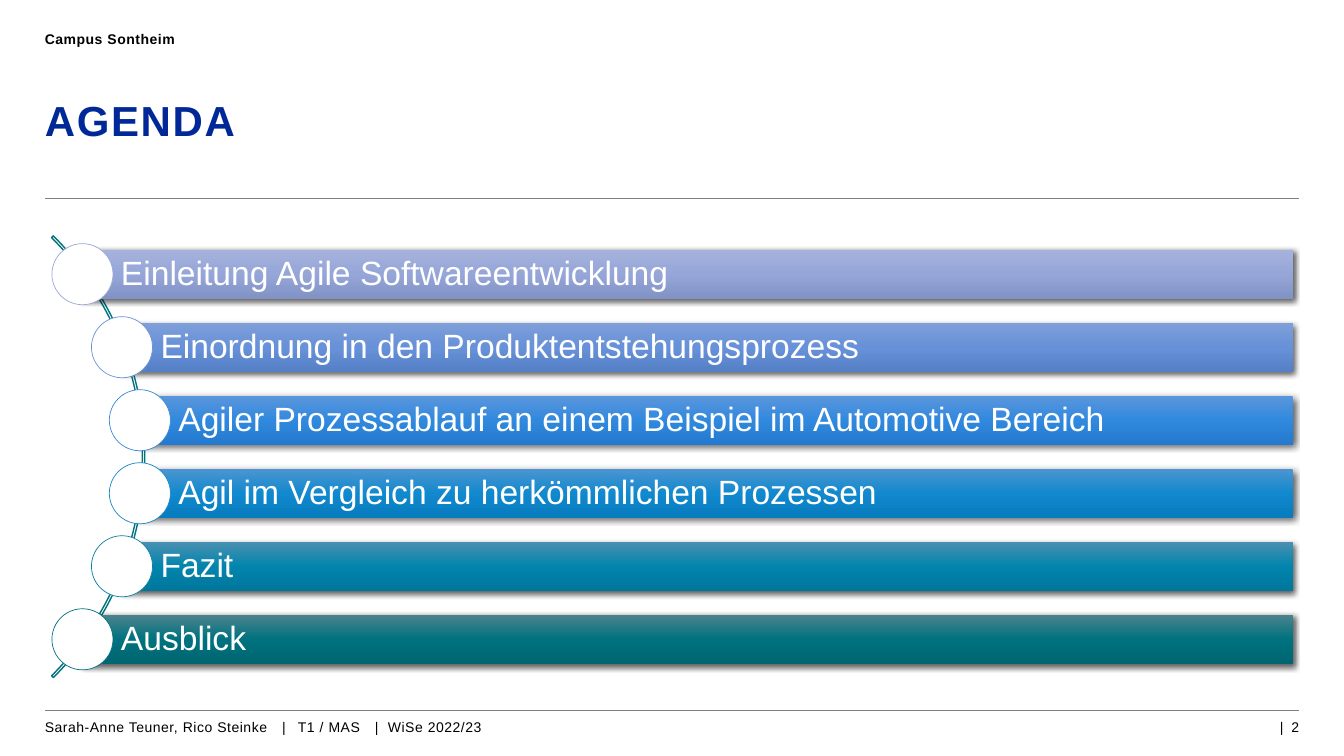
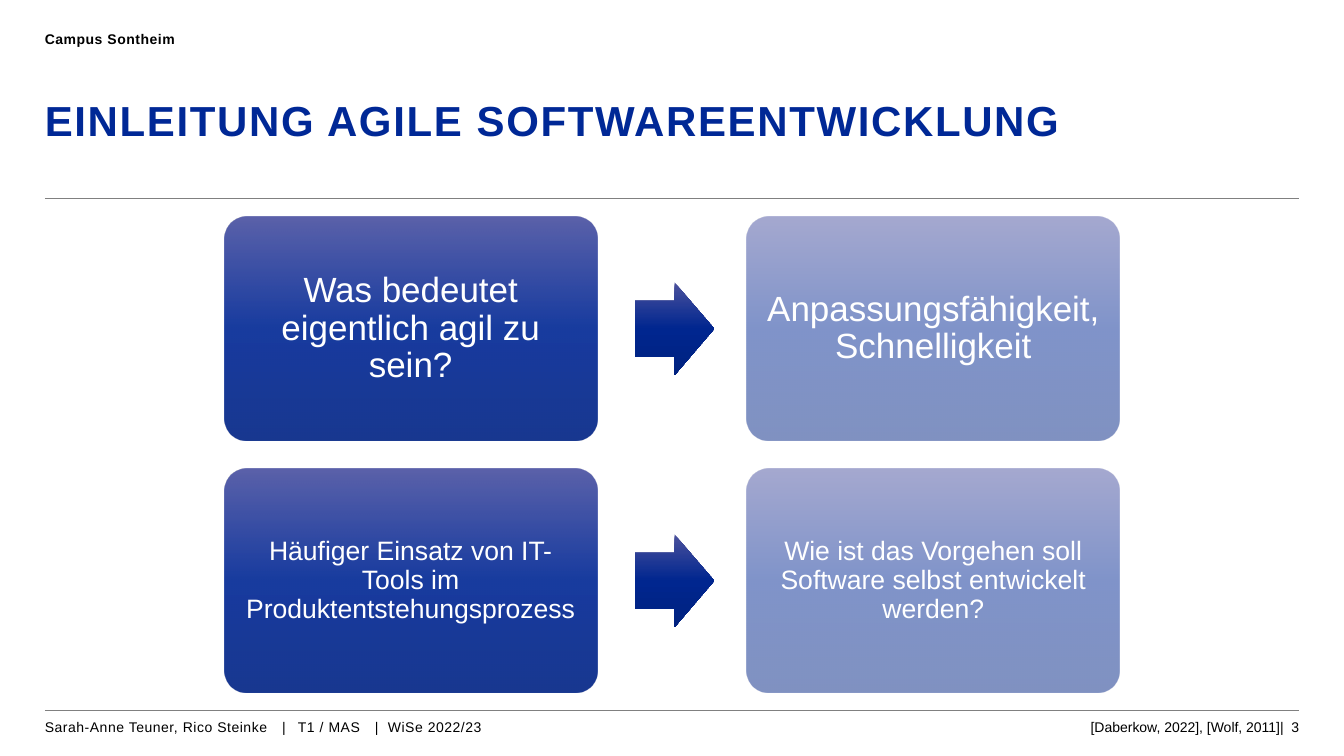
from dataclasses import dataclass
from math import sqrt

from lxml.etree import SubElement
from pptx import Presentation
from pptx.dml.color import RGBColor
from pptx.enum.shapes import MSO_CONNECTOR, MSO_SHAPE
from pptx.enum.text import MSO_ANCHOR, MSO_AUTO_SIZE, PP_ALIGN
from pptx.oxml.ns import qn
from pptx.util import Cm, Pt

# Content
HEADER = "Campus Sontheim"
FOOTER = "Sarah-Anne Teuner, Rico Steinke\u2003|\u2002 T1 / MAS\u2003|  WiSe 2022/23"

AGENDA_TITLE = "AGENDA"
AGENDA_PAGE = "|  2"
AGENDA = [  # topic, bar gradient, circle outline
    ("Einleitung Agile Softwareentwicklung", ("A5B2DB", "96A6D9", "8192C5"), "99A8D6"),
    ("Einordnung in den Produktentstehungsprozess", ("7F9FD9", "6791D8", "5580C6"), "6C93D3"),
    ("Agiler Prozessablauf an einem Beispiel im Automotive Bereich",
     ("5B96DC", "3189DE", "237ACE"), "3989D6"),
    ("Agil im Vergleich zu herkömmlichen Prozessen", ("4D95D0", "1189CE", "077CBF"), "1A87C5"),
    ("Fazit", ("4B90B1", "0285AD", "00779C"), "0A81A5"),
    ("Ausblick", ("4B838D", "00727F", "006571"), "00727F"),
]

INTRO_TITLE = "EINLEITUNG AGILE SOFTWAREENTWICKLUNG"
INTRO_PAGE = "[Daberkow, 2022], [Wolf, 2011]|  3"
INTRO_ROWS = [  # left box, right box, type size, inner margin in cm
    ("Was bedeutet eigentlich agil zu sein?",
     "Anpassungsfähigkeit, Schnelligkeit", 25, 0.25),
    ("Häufiger Einsatz von IT-Tools im Produktentstehungsprozess",
     "Wie ist das Vorgehen soll Software selbst entwickelt werden?", 19, 0.2),
]


@dataclass(frozen=True)
class Theme:
    font: str = "Arial"
    title: str = "002896"
    text: str = "000000"
    light: str = "FFFFFF"
    rule: str = "808080"
    arc: str = "00727F"
    box: tuple = ("4B52A2", "002896", "002485")
    arrow: tuple = ("4B519C", "00268F", "00227F")
    title_size: int = 30
    agenda_size: int = 24
    small_size: int = 10


THEME = Theme()

# Page frame in cm
LEFT, RIGHT = 1.13, 32.74
RULE_HEIGHTS = (17.91, 5.0)
FOOTER_TOP = 18.11


# Helpers
def write(frame, text, size, color, bold=False, align=PP_ALIGN.LEFT,
          anchor=MSO_ANCHOR.TOP, margins=(0, 0, 0, 0), spacing=None, tracking=0):
    frame.word_wrap = True
    frame.auto_size = MSO_AUTO_SIZE.NONE
    frame.vertical_anchor = anchor
    (frame.margin_left, frame.margin_top,
     frame.margin_right, frame.margin_bottom) = [Cm(margin) for margin in margins]
    paragraph = frame.paragraphs[0]
    paragraph.alignment = align
    if spacing:
        paragraph.line_spacing = spacing
    run = paragraph.add_run()
    run.text = text
    run.font.name = THEME.font
    run.font.size = Pt(size)
    run.font.bold = bold
    run.font.color.rgb = RGBColor.from_string(color)
    if tracking:
        run.font._element.set("spc", str(tracking))


def add_small_text(slide, text, left, top, width, **style):
    box = slide.shapes.add_textbox(Cm(left), Cm(top), Cm(width), Cm(0.61))
    write(box.text_frame, text, THEME.small_size, THEME.text, **style)


def add_shape(slide, kind, left, top, width, height, adjustments=()):
    shape = slide.shapes.add_shape(kind, Cm(left), Cm(top), Cm(width), Cm(height))
    for index, value in enumerate(adjustments):
        shape.adjustments[index] = value
    shape.shadow.inherit = False
    shape.line.fill.background()
    return shape


def outline(shape, color, width):
    shape.line.color.rgb = RGBColor.from_string(color)
    shape.line.width = Pt(width)


def add_color(parent, color, opacity):
    element = SubElement(parent, qn("a:srgbClr"), val=color)
    if opacity < 100:
        SubElement(element, qn("a:alpha"), val=str(opacity * 1000))


def fill_gradient(shape, colors, opacity=100):
    shape.fill.gradient()
    shape.fill.gradient_angle = 270
    stops = shape.element.spPr.find(".//" + qn("a:gsLst"))
    for stop in list(stops):
        stops.remove(stop)
    for position, color in zip((0, 50000, 100000), colors):
        add_color(SubElement(stops, qn("a:gs"), pos=str(position)), color, opacity)


def add_drop_shadow(shape):
    effects = shape.element.spPr.find(qn("a:effectLst"))
    shadow = SubElement(effects, qn("a:outerShdw"), blurRad=str(Pt(4.5)),
                        dist=str(Pt(1.5)), dir="5400000", rotWithShape="0")
    add_color(shadow, "000000", 63)


# Shared layout
def prepare_layout(layout):
    title = layout.placeholders[0]
    title.left, title.top = Cm(LEFT), Cm(2.49)
    title.width, title.height = Cm(RIGHT - LEFT), Cm(2.39)


def add_rules(slide, layout):
    for height in RULE_HEIGHTS:
        rule = slide.shapes.add_connector(
            MSO_CONNECTOR.STRAIGHT, Cm(LEFT), Cm(height), Cm(RIGHT), Cm(height))
        outline(rule, THEME.rule, 0.5)
        SubElement(rule.element.spPr, qn("a:effectLst"))
        layout.shapes.element.append(rule.element)


def add_page(presentation, layout, title, page):
    slide = presentation.slides.add_slide(layout)
    write(slide.shapes.title.text_frame, title, THEME.title_size, THEME.title,
          bold=True, spacing=0.94, tracking=120)
    add_small_text(slide, HEADER, LEFT, 0.76, 20.5, bold=True, tracking=40)
    add_small_text(slide, FOOTER, LEFT, FOOTER_TOP, 20.5, tracking=40)
    add_small_text(slide, page, RIGHT - 6.12, FOOTER_TOP, 6.12, align=PP_ALIGN.RIGHT)
    return slide


# Agenda: circles and bars follow an arc
def draw_agenda(slide):
    center_x, center_y, radius = -4.22, 11.51, 7.87
    node_radius, pitch = 7.8, 1.84
    bar_height, circle_size, bar_right = 1.23, 1.54, 32.58

    arc = add_shape(slide, MSO_SHAPE.BLOCK_ARC, center_x - radius, center_y - radius,
                    2 * radius, 2 * radius, (189, 27, 0.004))
    arc.fill.background()
    outline(arc, THEME.arc, 1)

    for index, (topic, colors, ring) in enumerate(AGENDA):
        offset = (index - (len(AGENDA) - 1) / 2) * pitch
        x = center_x + sqrt(node_radius ** 2 - offset ** 2)
        y = center_y + offset
        bar = add_shape(slide, MSO_SHAPE.RECTANGLE, x, y - bar_height / 2,
                        bar_right - x, bar_height)
        fill_gradient(bar, colors)
        add_drop_shadow(bar)
        write(bar.text_frame, topic, THEME.agenda_size, THEME.light,
              anchor=MSO_ANCHOR.MIDDLE, margins=(0.97, 0.18, 0.18, 0.18), spacing=0.9)
        circle = add_shape(slide, MSO_SHAPE.OVAL, x - circle_size / 2,
                           y - circle_size / 2, circle_size, circle_size)
        circle.fill.solid()
        circle.fill.fore_color.rgb = RGBColor.from_string(THEME.light)
        outline(circle, ring, 0.5)


# Introduction: two rows of box, arrow, box
def draw_introduction(slide):
    left, top, column_pitch, row_pitch = 5.65, 5.46, 13.17, 6.35
    box_width, box_height = 9.4, 5.65
    arrow_left, arrow_width, arrow_height = 16.0, 2.0, 2.34

    for row, (question, answer, size, margin) in enumerate(INTRO_ROWS):
        y = top + row * row_pitch
        for column, (text, opacity) in enumerate(((question, 90), (answer, 50))):
            box = add_shape(slide, MSO_SHAPE.ROUNDED_RECTANGLE,
                            left + column * column_pitch, y, box_width, box_height, (0.1,))
            fill_gradient(box, THEME.box, opacity)
            write(box.text_frame, text, size, THEME.light, align=PP_ALIGN.CENTER,
                  anchor=MSO_ANCHOR.MIDDLE, margins=(margin,) * 4, spacing=0.9)
        arrow = add_shape(slide, MSO_SHAPE.RIGHT_ARROW, arrow_left,
                          y + (box_height - arrow_height) / 2,
                          arrow_width, arrow_height, (0.6, 0.5))
        fill_gradient(arrow, THEME.arrow)


# Build
presentation = Presentation()
presentation.slide_width, presentation.slide_height = Cm(33.87), Cm(19.05)
layout = presentation.slide_layouts[5]
prepare_layout(layout)

agenda = add_page(presentation, layout, AGENDA_TITLE, AGENDA_PAGE)
add_rules(agenda, layout)
draw_agenda(agenda)

introduction = add_page(presentation, layout, INTRO_TITLE, INTRO_PAGE)
draw_introduction(introduction)

presentation.save("out.pptx")
